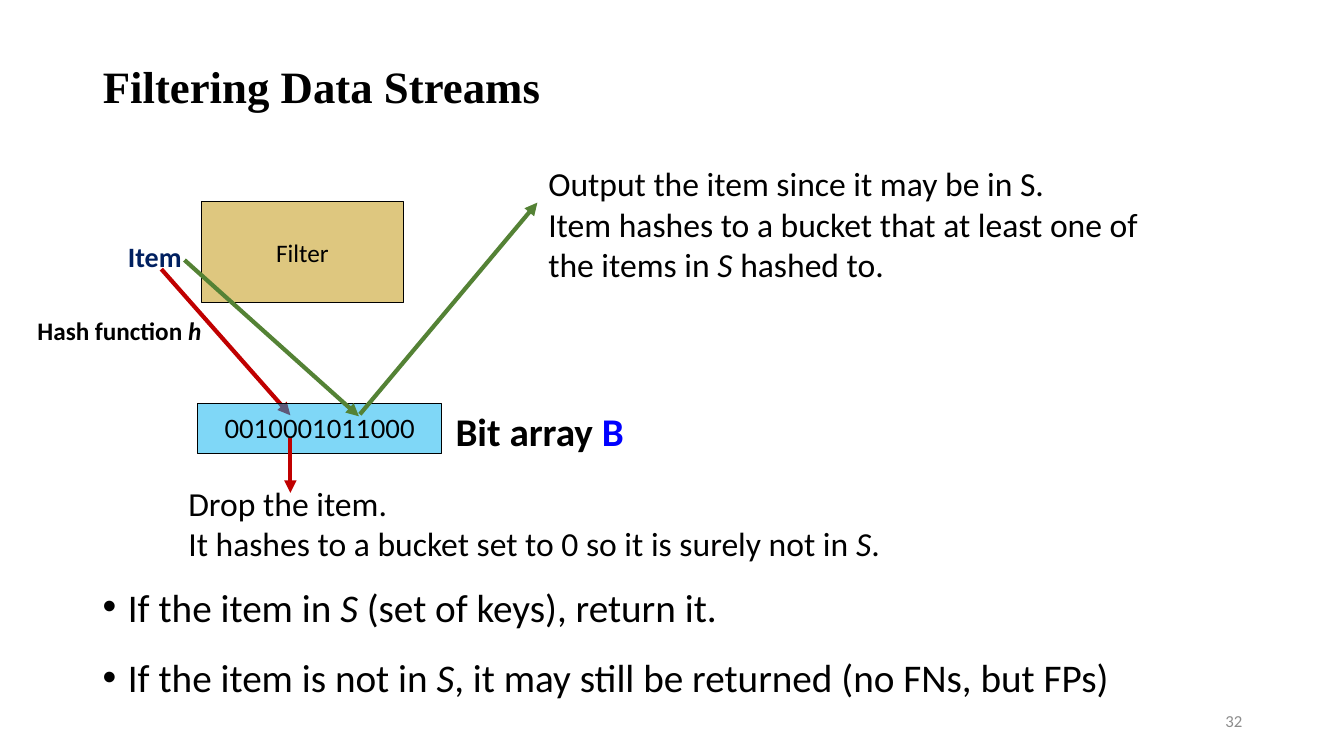
import dataclasses
import typing

import lxml.etree
import pptx
import pptx.dml.color
import pptx.enum.shapes
import pptx.enum.text
import pptx.oxml.ns
import pptx.util

Inches = pptx.util.Inches
Align = pptx.enum.text.PP_ALIGN
Anchor = pptx.enum.text.MSO_ANCHOR


@dataclasses.dataclass(frozen=True)
class Theme:
    ink: str = "000000"
    page_number: str = "8C8C8C"
    item: str = "002060"
    array_name: str = "0000FF"
    filter_fill: str = "BF9000"
    array_fill: str = "00B0F0"
    drop: str = "C00000"
    output: str = "548235"
    body_font: str = "Calibri"
    title_font: str = "Times New Roman"
    bits_font: str = "Lato"
    title_size: int = 32
    large: int = 28
    medium: int = 24
    item_size: int = 20
    small: int = 18
    page_size: int = 12


THEME = Theme()


class Run(typing.NamedTuple):
    text: str
    italic: bool = False
    color: str = THEME.ink


@dataclasses.dataclass(frozen=True)
class Label:
    box: tuple[float, float, float, float]
    paragraphs: list[list[Run]]
    size: int
    bold: bool = False
    wrap: bool = True
    align: Align = Align.LEFT
    anchor: Anchor = Anchor.TOP
    bullets: bool = False


@dataclasses.dataclass(frozen=True)
class Arrow:
    start: tuple[float, float]
    end: tuple[float, float]
    color: str


S = Run("S", italic=True)

DROP_HASH = Arrow((1.6, 2.67), (2.88, 4.12), THEME.drop)
ARROWS = [
    Arrow((1.83, 2.58), (3.56, 4.13), THEME.output),
    Arrow((3.57, 4.11), (5.33, 2.01), THEME.output),
    Arrow((2.88, 4.35), (2.88, 4.89), THEME.drop),
]
LABELS = [
    Label((0.92, 5.64, 11.29, 1.58),
          [[Run("If the item in "), S, Run(" (set of keys), return it.")],
           [Run("If the item is not in "), S,
            Run(", it may still be returned (no FNs, but FPs)")]],
          THEME.large, bullets=True),
    Label((1.77, 4.74, 7.67, 0.91),
          [[Run("Drop the item.")],
           [Run("It hashes to a bucket set to 0 so it is surely not in "), S, Run(".")]],
          THEME.medium),
    Label((1.17, 2.33, 0.77, 0.44), [[Run("Item", color=THEME.item)]],
          THEME.item_size, bold=True, wrap=False),
    Label((0.21, 3.08, 1.95, 0.4), [[Run("Hash function "), Run("h", italic=True)]],
          THEME.small, bold=True, align=Align.CENTER),
    Label((4.42, 3.99, 1.9, 0.57),
          [[Run("Bit array "), Run("B", color=THEME.array_name)]],
          THEME.large, bold=True, wrap=False),
    Label((5.34, 1.57, 6.16, 1.31),
          [[Run("Output the item since it may be in S.")],
           [Run("Item hashes to a bucket that at least one of the items in "), S,
            Run(" hashed to.")]],
          THEME.medium),
    Label((9.42, 6.95, 3, 0.4), [[Run("32", color=THEME.page_number)]],
          THEME.page_size, align=Align.RIGHT, anchor=Anchor.MIDDLE),
]
FILTER_OUTLINE = [(2.5, 3.42), (3.83, 3.03), (3.83, 1.89), (2.5, 1.5)]


def rgb(color: str) -> pptx.dml.color.RGBColor:
    return pptx.dml.color.RGBColor.from_string(color)


def add_xml(parent, tag: str, **attributes: str):
    return lxml.etree.SubElement(parent, pptx.oxml.ns.qn(tag), attributes)


def add_run(paragraph, run: Run, size: int, bold: bool = False,
            font: str = THEME.body_font) -> None:
    piece = paragraph.add_run()
    piece.text = run.text
    piece.font.name = font
    piece.font.size = pptx.util.Pt(size)
    piece.font.bold = bold
    piece.font.italic = run.italic
    piece.font.color.rgb = rgb(run.color)


def add_bullet(paragraph) -> None:
    properties = paragraph._p.get_or_add_pPr()
    properties.set("marL", str(Inches(0.25)))
    properties.set("indent", str(-Inches(0.25)))
    add_xml(properties, "a:buFont", typeface="Arial")
    add_xml(properties, "a:buChar", char="•")
    paragraph.line_spacing = 1.2


def add_label(slide, label: Label) -> None:
    frame = slide.shapes.add_textbox(*map(Inches, label.box)).text_frame
    frame.word_wrap = label.wrap
    frame.vertical_anchor = label.anchor
    for index, runs in enumerate(label.paragraphs):
        paragraph = frame.add_paragraph() if index else frame.paragraphs[0]
        if label.bullets:
            add_bullet(paragraph)
            if index:
                paragraph.space_before = pptx.util.Pt(10)
        paragraph.alignment = label.align
        for run in runs:
            add_run(paragraph, run, label.size, label.bold)


def add_arrow(slide, arrow: Arrow) -> None:
    connector = slide.shapes.add_connector(
        pptx.enum.shapes.MSO_CONNECTOR.STRAIGHT,
        *map(Inches, arrow.start + arrow.end))
    connector.line.color.rgb = rgb(arrow.color)
    connector.line.width = pptx.util.Pt(3)
    add_xml(connector.line._get_or_add_ln(), "a:tailEnd", type="triangle")
    add_xml(connector._element.spPr, "a:effectLst")


def style_block(block, fill: str, text: str, font: str) -> None:
    block.shadow.inherit = False
    block.fill.solid()
    block.fill.fore_color.rgb = rgb(fill)
    color = block._element.spPr.find(".//" + pptx.oxml.ns.qn("a:srgbClr"))
    add_xml(color, "a:alpha", val="50000")
    block.line.color.rgb = rgb(THEME.ink)
    block.line.width = pptx.util.Pt(0.75)
    frame = block.text_frame
    frame.word_wrap = False
    frame.vertical_anchor = Anchor.MIDDLE
    frame.paragraphs[0].alignment = Align.CENTER
    add_run(frame.paragraphs[0], Run(text), THEME.small, font=font)


def set_title(slide, text: str) -> None:
    title = slide.shapes.title
    title.left, title.top, title.width, title.height = map(
        Inches, (0.92, 0.4, 11.5, 0.97))
    title.text_frame.vertical_anchor = Anchor.MIDDLE
    heading = title.text_frame.paragraphs[0]
    heading.alignment = Align.LEFT
    heading.line_spacing = 0.9
    add_run(heading, Run(text), THEME.title_size, True, THEME.title_font)


def main() -> None:
    presentation = pptx.Presentation()
    presentation.slide_width = Inches(13.33)
    presentation.slide_height = Inches(7.5)
    slide = presentation.slides.add_slide(presentation.slide_layouts[5])
    set_title(slide, "Filtering Data Streams")

    outline = slide.shapes.build_freeform(*FILTER_OUTLINE[0], scale=Inches(1))
    outline.add_line_segments(FILTER_OUTLINE[1:], close=True)
    style_block(outline.convert_to_shape(), THEME.filter_fill, "Filter", THEME.body_font)

    add_arrow(slide, DROP_HASH)
    bit_array = slide.shapes.add_shape(
        pptx.enum.shapes.MSO_SHAPE.RECTANGLE, *map(Inches, (1.96, 4, 2.42, 0.5)))
    style_block(bit_array, THEME.array_fill, "0010001011000", THEME.bits_font)

    for label in LABELS:
        add_label(slide, label)
    for arrow in ARROWS:
        add_arrow(slide, arrow)
    presentation.save("out.pptx")


if __name__ == "__main__":
    main()
